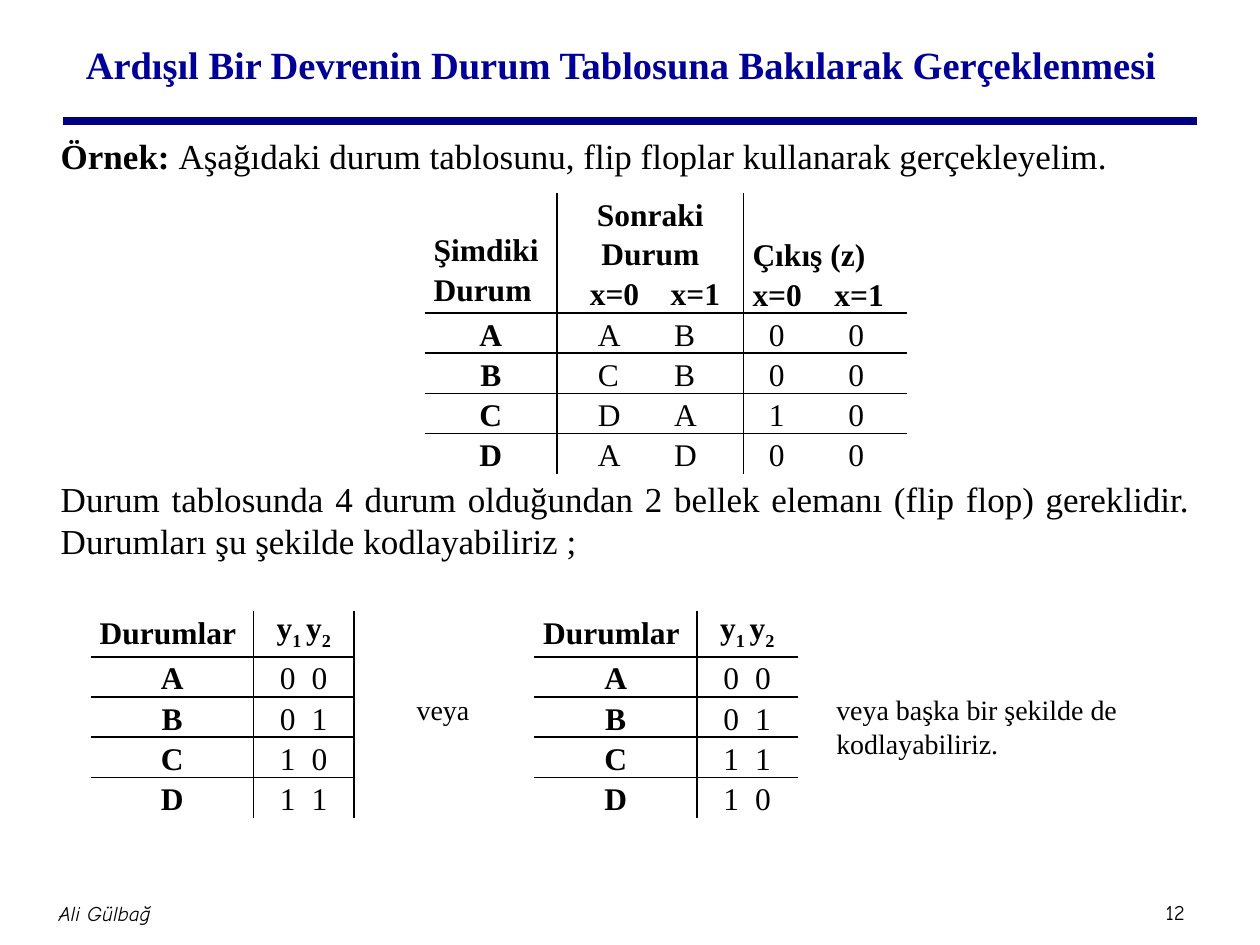
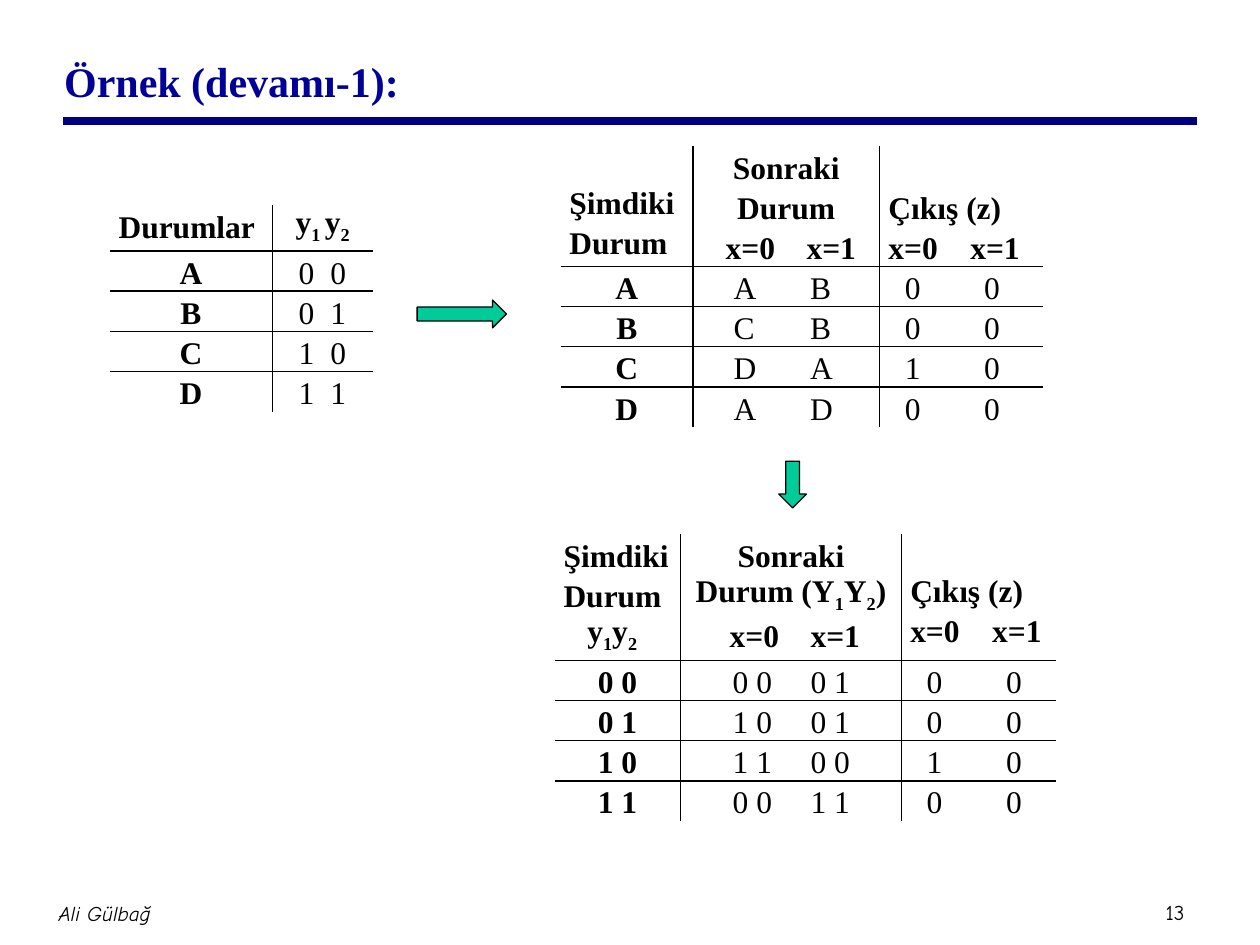
from dataclasses import dataclass

from lxml.etree import SubElement
from pptx import Presentation
from pptx.dml.color import RGBColor
from pptx.enum.shapes import MSO_CONNECTOR, MSO_SHAPE
from pptx.enum.text import MSO_ANCHOR, MSO_AUTO_SIZE, PP_ALIGN
from pptx.oxml.ns import qn
from pptx.util import Cm, Pt


@dataclass(frozen=True)
class Theme:
    text: str = "000000"
    title: str = "000099"
    rule: str = "000080"
    arrow: str = "00CC99"
    serif: str = "Times New Roman"
    footer_font: str = "Comic Neue"
    body_size: int = 20
    table_size: int = 18
    note_size: int = 16
    footer_size: int = 12
    rule_width: float = 4.5
    arrow_line: float = 0.75
    border: float = 1
    table_line: float = 22.8


THEME = Theme()
LEFT, CENTER, JUSTIFY = PP_ALIGN.LEFT, PP_ALIGN.CENTER, PP_ALIGN.JUSTIFY


@dataclass(frozen=True)
class TableKind:
    """Column layout in cm; stops are the tab positions used by tuples of texts."""
    widths: tuple
    header_height: float
    header_stops: tuple
    row_stops: tuple
    header_drops: tuple
    header_aligns: tuple


ROW_HEIGHT = 0.81
STATE_KIND = TableKind((2.67, 3.76, 3.3), 2.42, ((), (0.48, 2.11), (0, 1.65)),
                       ((), (0.64, 2.18), (0.33, 1.93)), (0.71, 0, 0.81), (LEFT, CENTER, LEFT))
CODE_KIND = TableKind((3.28, 2.03), 0.92, ((), ()), ((), (0.35, 0.99)),
                      (0, 0), (LEFT, CENTER))
TRANSITION_KIND = TableKind((2.54, 4.45, 3.12), 2.54, ((0.48,), (0.81, 2.44), (0, 1.65)),
                            ((), (0.87, 2.44), (0.33, 1.93)), (0, 0, 0.71),
                            (LEFT, CENTER, LEFT))

# A tuple of texts is set on tab stops; "_" makes the next character a subscript.
INPUTS = ("x=0", "x=1")
OUTPUT_HEADER = ["Çıkış (z)", INPUTS]
STATES = [
    (["Şimdiki Durum"], ["Sonraki Durum", INPUTS], OUTPUT_HEADER),
    (["A"], [("A", "B")], [("0", "0")]),
    (["B"], [("C", "B")], [("0", "0")]),
    (["C"], [("D", "A")], [("1", "0")]),
    (["D"], [("A", "D")], [("0", "0")]),
]
TRANSITIONS = [
    (["Şimdiki Durum", ("y_1y_2",)], ["Sonraki Durum (Y_1Y_2)", INPUTS], OUTPUT_HEADER),
    (["0 0"], [("0 0", "0 1")], [("0", "0")]),
    (["0 1"], [("1 0", "0 1")], [("0", "0")]),
    (["1 0"], [("1 1", "0 0")], [("1", "0")]),
    (["1 1"], [("0 0", "1 1")], [("0", "0")]),
]


def code_rows(*codes):
    header = (["Durumlar"], ["y_1_ y_2"])
    return [header] + [([state], [tuple(code)]) for state, code in zip("ABCD", codes)]


BINARY_CODES = code_rows("00", "01", "10", "11")
GRAY_CODES = code_rows("00", "01", "11", "10")

SLIDES = [
    {
        "number": 12,
        "title": ("Ardışıl Bir Devrenin Durum Tablosuna Bakılarak Gerçeklenmesi",
                  22, CENTER, (0.38, 0.2, 24.28, 2.18)),
        "body": [
            (0, [("Örnek: ", True),
                 ("Aşağıdaki durum tablosunu, flip floplar kullanarak gerçekleyelim.", False)]),
            (172, [("Durum tablosunda 4 durum olduğundan 2 bellek elemanı (flip flop) "
                    "gereklidir. Durumları şu şekilde kodlayabiliriz ;", False)]),
        ],
        "tables": [
            (STATE_KIND, STATES, (8.56, 3.89), False),
            (CODE_KIND, BINARY_CODES, (1.83, 12.32), True),
            (CODE_KIND, GRAY_CODES, (10.77, 12.32), False),
        ],
        "notes": [
            ("veya", (8.15, 13.84, 2.39, 0.94)),
            ("veya başka bir şekilde de kodlayabiliriz.", (16.61, 13.84, 6.6, 1.63)),
        ],
        "arrows": [],
    },
    {
        "number": 13,
        "title": ("Örnek (devamı-1):", 24, LEFT, (1.04, 0.53, 21.59, 2.18)),
        "body": [],
        "tables": [
            (CODE_KIND, BINARY_CODES, (2.21, 4.14), False),
            (STATE_KIND, STATES, (11.3, 2.95), False),
            (TRANSITION_KIND, TRANSITIONS, (11.18, 10.77), False),
        ],
        "notes": [],
        "arrows": [
            (MSO_SHAPE.RIGHT_ARROW, (8.41, 6.05, 1.8, 0.56)),
            (MSO_SHAPE.DOWN_ARROW, (15.7, 9.3, 0.56, 0.94)),
        ],
    },
]
AUTHOR = ("Ali Gülbağ", (0.76, 17.78, 2.7, 1.27))
NUMBER_AREA = (23.37, 18.01, 1.19, 0.76)


def lengths(values):
    return [Cm(value) for value in values]


def style_span(span, size, bold=False, color=THEME.text, font=THEME.serif, italic=False):
    span.font.name, span.font.size = font, Pt(size)
    span.font.bold, span.font.italic = bold, italic
    span.font.color.rgb = RGBColor.from_string(color)


def place(shape, area):
    shape.left, shape.top, shape.width, shape.height = lengths(area)
    shape.text_frame.word_wrap = True
    shape.text_frame.auto_size = MSO_AUTO_SIZE.NONE


def add_text(page, text, area, align=LEFT, **style):
    box = page.shapes.add_textbox(*lengths(area))
    frame = box.text_frame
    frame.word_wrap = True
    frame.text = text
    frame.paragraphs[0].alignment = align
    style_span(frame.paragraphs[0].runs[0], **style)
    return frame


def add_footer(page, text, area, align=LEFT, italic=False):
    frame = add_text(page, text, area, align, size=THEME.footer_size,
                     font=THEME.footer_font, italic=italic)
    frame.vertical_anchor = MSO_ANCHOR.MIDDLE
    frame.margin_left = frame.margin_right = Cm(0.13)
    frame.margin_top = frame.margin_bottom = Cm(0.13)


def add_frame(page, number):
    """Rule below the title, author and page number."""
    rule = page.shapes.add_connector(MSO_CONNECTOR.STRAIGHT, *lengths((1.27, 2.44, 24.13, 2.44)))
    rule.line.color.rgb = RGBColor.from_string(THEME.rule)
    rule.line.width = Pt(THEME.rule_width)
    SubElement(rule._element.spPr, qn("a:effectLst"))
    add_footer(page, str(number), NUMBER_AREA)
    add_footer(page, *AUTHOR, align=CENTER, italic=True)


def fill_title(page, text, size, align, area):
    title = page.shapes.title
    place(title, area)
    frame = title.text_frame
    frame.text = text
    frame.vertical_anchor = MSO_ANCHOR.MIDDLE
    frame.paragraphs[0].alignment = align
    style_span(frame.paragraphs[0].runs[0], size, True, THEME.title)


def fill_body(page, paragraphs):
    body = page.placeholders[1]
    place(body, (0.97, 2.59, 23.27, 14.1))
    frame = body.text_frame
    for index, (space, spans) in enumerate(paragraphs):
        para = frame.add_paragraph() if index else frame.paragraphs[0]
        para.alignment = JUSTIFY
        para.space_before = Pt(space)
        properties = para._p.get_or_add_pPr()
        properties.set("marL", "0")
        properties.set("indent", "0")
        SubElement(properties, qn("a:buNone"))
        for text, bold in spans:
            span = para.add_run()
            span.text = text
            style_span(span, THEME.body_size, bold)


def add_spans(para, text, bold):
    """Add runs, lowering each character that follows an underscore."""
    first, *rest = text.split("_")
    pieces = [(first, False)]
    for part in rest:
        pieces += [(part[0], True), (part[1:], False)]
    for piece, lowered in pieces:
        if piece:
            span = para.add_run()
            span.text = piece
            style_span(span, THEME.table_size, bold)
            if lowered:
                span._r.get_or_add_rPr().set("baseline", "-25000")


def fill_cell(cell, lines, align, stops, bold, drop):
    cell.margin_left = cell.margin_right = Cm(0.18)
    cell.margin_top, cell.margin_bottom = Cm(drop), 0
    for index, line in enumerate(lines):
        para = cell.text_frame.add_paragraph() if index else cell.text_frame.paragraphs[0]
        para.line_spacing = Pt(THEME.table_line)
        para.alignment = align
        if isinstance(line, tuple):
            para.alignment = LEFT
            tabs = SubElement(para._p.get_or_add_pPr(), qn("a:tabLst"))
            for stop in filter(None, stops):
                SubElement(tabs, qn("a:tab"), pos=str(Cm(stop)), algn="l")
            line = "".join("\t" * (stop > 0) + text for stop, text in zip(stops, line))
        add_spans(para, line, bold)


def set_borders(cell, sides):
    properties = cell._tc.get_or_add_tcPr()
    for side, visible in sides.items():
        line = SubElement(properties, qn(f"a:ln{side}"), w=str(Pt(THEME.border)))
        if visible:
            fill = SubElement(line, qn("a:solidFill"))
            SubElement(fill, qn("a:srgbClr"), val=THEME.text)
        else:
            SubElement(line, qn("a:noFill"))
    cell.fill.background()


def add_grid(page, kind, rows, corner, closed_right):
    """Add a table that is ruled inside only, or also along its right edge."""
    heights = [kind.header_height] + [ROW_HEIGHT] * (len(rows) - 1)
    area = (*corner, sum(kind.widths), sum(heights))
    table = page.shapes.add_table(len(rows), len(kind.widths), *lengths(area)).table
    table.first_row = table.horz_banding = False
    for column, width in zip(table.columns, kind.widths):
        column.width = Cm(width)
    last_row, last_column = len(rows) - 1, len(kind.widths) - 1
    for r, row in enumerate(rows):
        table.rows[r].height = Cm(heights[r])
        for c, lines in enumerate(row):
            cell = table.cell(r, c)
            header = r == 0
            fill_cell(cell, lines,
                      align=kind.header_aligns[c] if header else CENTER,
                      stops=(kind.header_stops if header else kind.row_stops)[c],
                      bold=header or c == 0,
                      drop=kind.header_drops[c] if header else 0)
            set_borders(cell, {"L": c > 0, "R": c < last_column or closed_right,
                               "T": r > 0, "B": r < last_row})


def add_arrow(page, preset, area):
    arrow = page.shapes.add_shape(preset, *lengths(area))
    arrow.shadow.inherit = False
    arrow.fill.solid()
    arrow.fill.fore_color.rgb = RGBColor.from_string(THEME.arrow)
    arrow.line.color.rgb = RGBColor.from_string(THEME.text)
    arrow.line.width = Pt(THEME.arrow_line)


def add_page(deck, content):
    title_and_body, title_only = deck.slide_layouts[1], deck.slide_layouts[5]
    page = deck.slides.add_slide(title_and_body if content["body"] else title_only)
    add_frame(page, content["number"])
    fill_title(page, *content["title"])
    if content["body"]:
        fill_body(page, content["body"])
    for table in content["tables"]:
        add_grid(page, *table)
    for text, area in content["notes"]:
        add_text(page, text, area, size=THEME.note_size)
    for arrow in content["arrows"]:
        add_arrow(page, *arrow)


def main():
    deck = Presentation()
    deck.slide_width, deck.slide_height = lengths((25.4, 19.05))
    for content in SLIDES:
        add_page(deck, content)
    deck.save("out.pptx")


if __name__ == "__main__":
    main()
